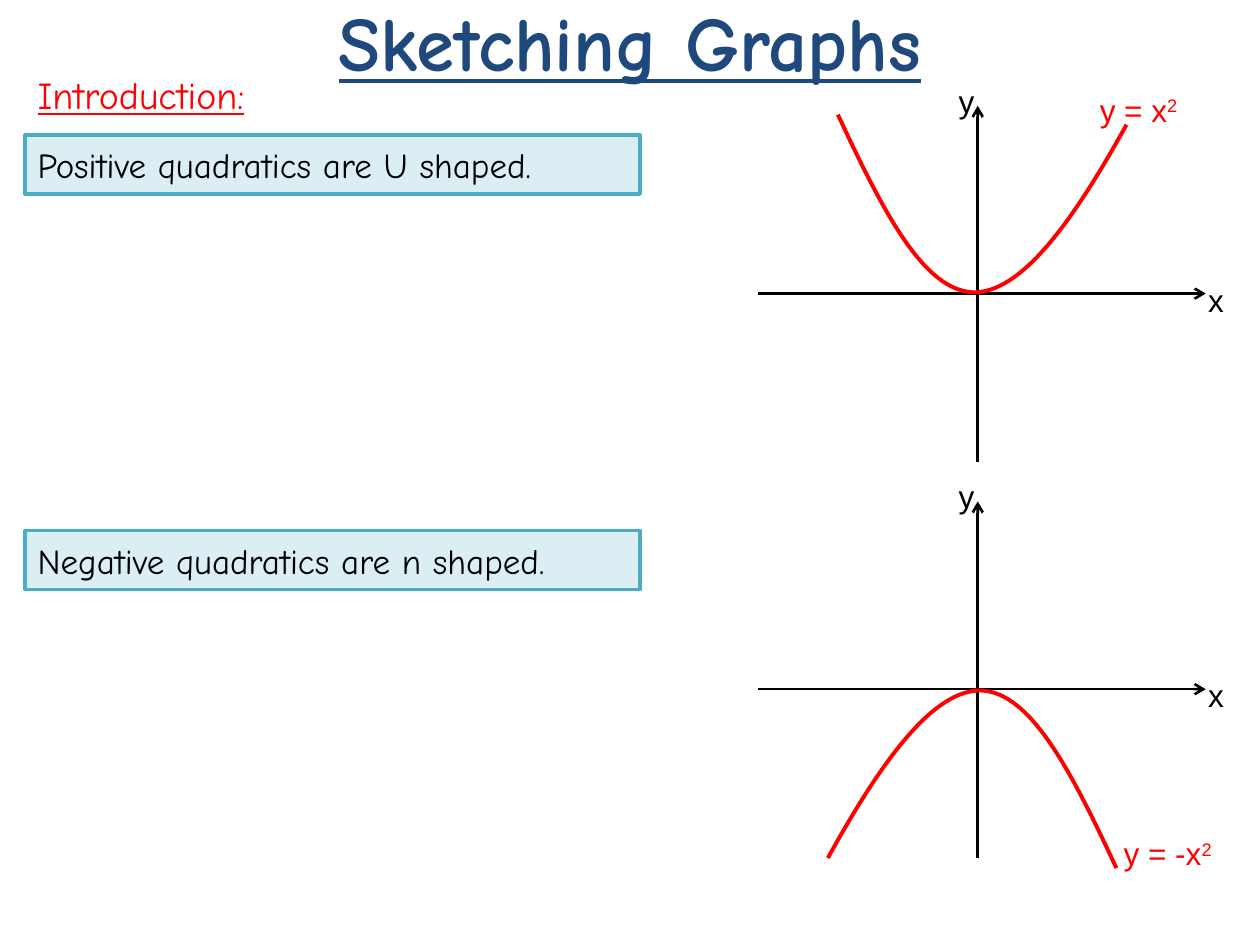
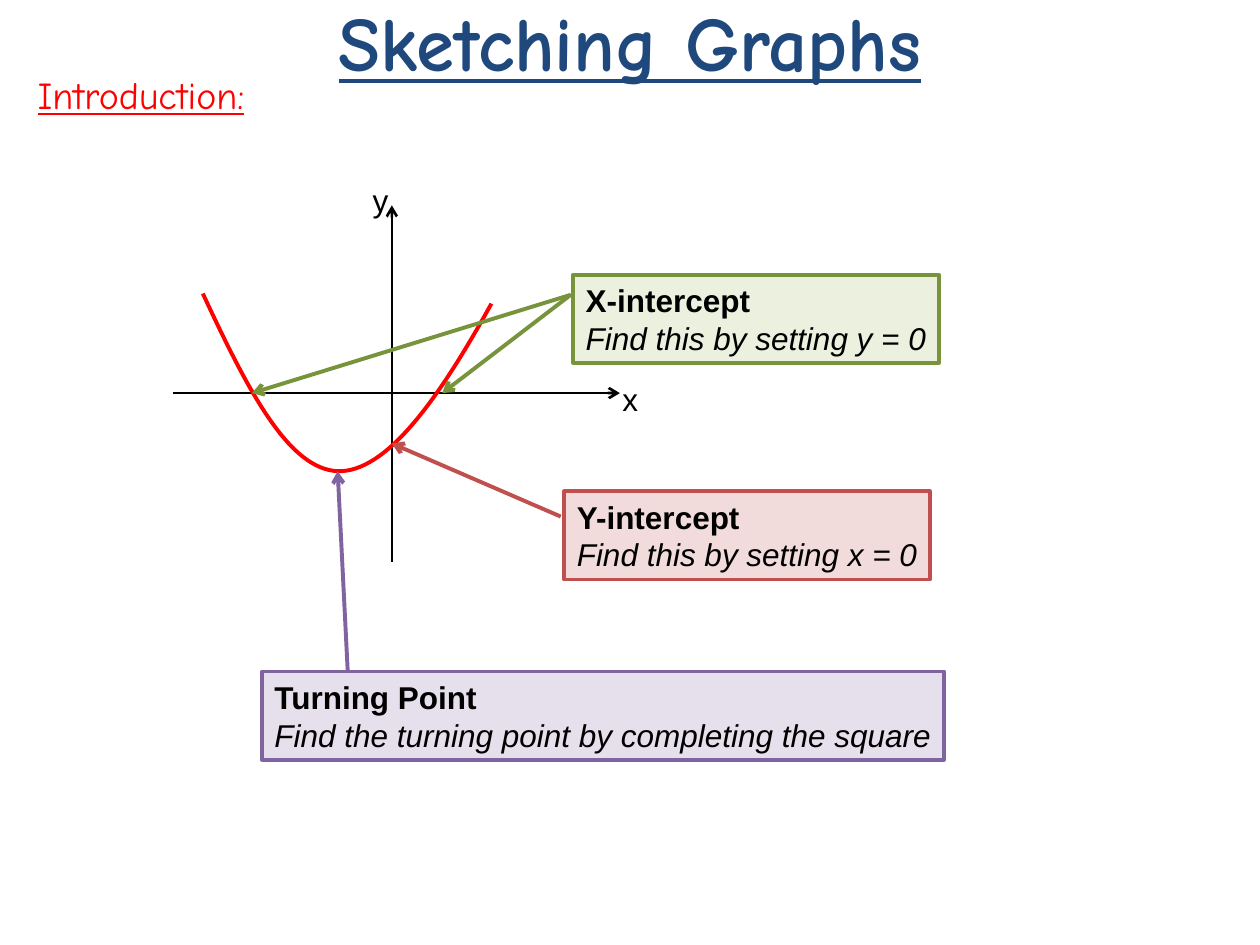
from lxml import etree
from pptx import Presentation
from pptx.dml.color import RGBColor
from pptx.enum.shapes import MSO_CONNECTOR as CONN, MSO_SHAPE as SHAPE
from pptx.enum.text import MSO_ANCHOR as ANCHOR, MSO_AUTO_SIZE as AUTO, PP_ALIGN as ALIGN
from pptx.oxml.ns import qn
from pptx.util import Inches, Pt

# Shared colours and fonts
BLACK, RED, NAVY = "000000", "FF0000", "1F497D"
PALE_BLUE, BLUE = "DBEEF4", "4BACC6"
PALE_GREEN, GREEN = "EBF1DE", "77933C"
PALE_ROSE, ROSE = "F2DCDB", "C0504D"
PALE_PURPLE, PURPLE = "E6E0EC", "8064A2"
HAND, PLAIN = "Comic Neue", "Arial"

# Bezier points of the parabola, measured from its turning point
PARABOLA = [(-1.07, -1.41), (-0.69, -0.59), (-0.38, -0.02), (0, 0),
            (0.38, 0.01), (0.79, -0.55), (1.22, -1.33)]


def rgb(hex_colour):
    return RGBColor.from_string(hex_colour)


def inches(*values):
    return [Inches(v) for v in values]


def style(p, size, colour, font=PLAIN, bold=False, italic=False, underline=False):
    for r in p.runs:
        f = r.font
        f.name, f.size, f.color.rgb = font, Pt(size), rgb(colour)
        f.bold, f.italic, f.underline = bold, italic, underline


def set_line(s, colour, width):
    s.line.color.rgb = rgb(colour)
    s.line.width = Pt(width)


def add_heading(slide):
    """Slide title with the section name below it."""
    title = slide.shapes.title
    title.left, title.top, title.width, title.height = inches(0, -0.03, 10, 0.71)
    tf = title.text_frame
    tf.text = "Sketching Graphs"
    tf.auto_size = AUTO.NONE
    tf.vertical_anchor = ANCHOR.MIDDLE
    tf.paragraphs[0].alignment = ALIGN.CENTER
    style(tf.paragraphs[0], 44, NAVY, HAND, bold=True, underline=True)

    section = slide.shapes.add_textbox(*inches(0.2, 0.52, 9.53, 0.87))
    tf = section.text_frame
    tf.word_wrap = True
    tf.text = "Introduction:"
    style(tf.paragraphs[0], 21.7, RED, HAND, underline=True)


def add_label(slide, x, y, width, text, colour=BLACK, power=None):
    """Short graph label, with an optional raised power."""
    tf = slide.shapes.add_textbox(*inches(x, y, width, 0.4)).text_frame
    tf.word_wrap = False
    tf.auto_size = AUTO.SHAPE_TO_FIT_TEXT
    tf.text = text
    p = tf.paragraphs[0]
    if power:
        r = p.add_run()
        r.text = power
        r._r.get_or_add_rPr().set("baseline", "30000")
    style(p, 18, colour)


def add_arrow(slide, start, end, colour=BLACK, width=1.5):
    s = slide.shapes.add_connector(CONN.STRAIGHT, *inches(*start, *end))
    set_line(s, colour, width)
    etree.SubElement(s.line._get_or_add_ln(), qn("a:tailEnd"), type="arrow")
    etree.SubElement(s._element.spPr, qn("a:effectLst"))


def add_axes(slide, x, y):
    """Labelled axes that cross at (x, y)."""
    add_arrow(slide, (x - 1.74, y), (x + 1.81, y))
    add_arrow(slide, (x, y + 1.34), (x, y - 1.49))
    add_label(slide, x + 1.73, y - 0.15, 0.32, "x")
    add_label(slide, x - 0.25, y - 1.73, 0.32, "y")


def add_parabola(slide, x, y, sign=1):
    """Parabola turning at (x, y): U shaped for sign 1, n shaped for -1."""
    points = [inches(x + sign * dx, y + sign * dy) for dx, dy in PARABOLA]
    builder = slide.shapes.build_freeform(*points[0])
    builder.add_line_segments(points[1:], close=False)
    s = builder.convert_to_shape()
    s.shadow.inherit = False
    s.fill.background()
    set_line(s, RED, 2.25)
    # Turn each three segments into one cubic curve
    path = next(s._element.iter(qn("a:path")))
    segments = path.findall(qn("a:lnTo"))
    for i in range(0, len(segments), 3):
        curve = etree.SubElement(path, qn("a:cubicBezTo"))
        for segment in segments[i:i + 3]:
            curve.append(segment[0])
            path.remove(segment)


def add_box(slide, box, fill, line, width):
    s = slide.shapes.add_shape(SHAPE.RECTANGLE, *inches(*box))
    s.shadow.inherit = False
    s.fill.solid()
    s.fill.fore_color.rgb = rgb(fill)
    set_line(s, line, width)
    return s.text_frame


def add_statement(slide, y, text):
    tf = add_box(slide, (0.2, y, 4.88, 0.47), PALE_BLUE, BLUE, 2)
    tf.word_wrap = True
    tf.vertical_anchor = ANCHOR.MIDDLE
    tf.text = text
    tf.paragraphs[0].alignment = ALIGN.LEFT
    style(tf.paragraphs[0], 20, BLACK, HAND)


def add_callout(slide, x, y, width, fill, line, name, method):
    """Box with a bold name and, below it, how to find the point."""
    tf = add_box(slide, (x, y, width, 0.7), fill, line, 2.25)
    tf.word_wrap = False
    tf.auto_size = AUTO.SHAPE_TO_FIT_TEXT
    tf.vertical_anchor = ANCHOR.TOP
    tf.text = f"{name}\n{method}"
    for p in tf.paragraphs:
        p.alignment = ALIGN.LEFT
    style(tf.paragraphs[0], 18, BLACK, bold=True)
    style(tf.paragraphs[1], 18, BLACK, italic=True)


def add_shapes_slide(slide):
    # Positive quadratic above, negative quadratic below
    add_statement(slide, 1.07, "Positive quadratics are U shaped.")
    add_axes(slide, 7.76, 2.33)
    add_parabola(slide, 7.72, 2.32)
    add_label(slide, 8.63, 0.67, 0.85, "y = x", RED, "2")

    add_statement(slide, 4.21, "Negative quadratics are n shaped.")
    add_axes(slide, 7.76, 5.47)
    add_parabola(slide, 7.79, 5.48, sign=-1)
    add_label(slide, 8.82, 6.57, 0.93, "y = -x", RED, "2")


def add_key_points_slide(slide):
    add_axes(slide, 3.11, 3.12)
    add_parabola(slide, 2.68, 3.74)

    # Arrows from the callouts to the points on the curve
    for start, end, colour in [((2.76, 5.33), (2.68, 3.74), PURPLE),
                               ((4.53, 2.34), (3.51, 3.12), GREEN),
                               ((4.53, 2.34), (2, 3.12), GREEN),
                               ((4.45, 4.1), (3.11, 3.52), ROSE)]:
        add_arrow(slide, start, end, colour, 2.25)

    add_callout(slide, 4.55, 2.18, 2.9, PALE_GREEN, GREEN,
                "X-intercept", "Find this by setting y = 0")
    add_callout(slide, 4.48, 3.9, 2.9, PALE_ROSE, ROSE,
                "Y-intercept", "Find this by setting x = 0")
    add_callout(slide, 2.08, 5.33, 5.41, PALE_PURPLE, PURPLE,
                "Turning Point", "Find the turning point by completing the square")


def main():
    prs = Presentation()
    prs.slide_width, prs.slide_height = inches(10, 7.5)
    for add_content in (add_shapes_slide, add_key_points_slide):
        slide = prs.slides.add_slide(prs.slide_layouts[5])
        add_heading(slide)
        add_content(slide)
    prs.save("out.pptx")


if __name__ == "__main__":
    main()
